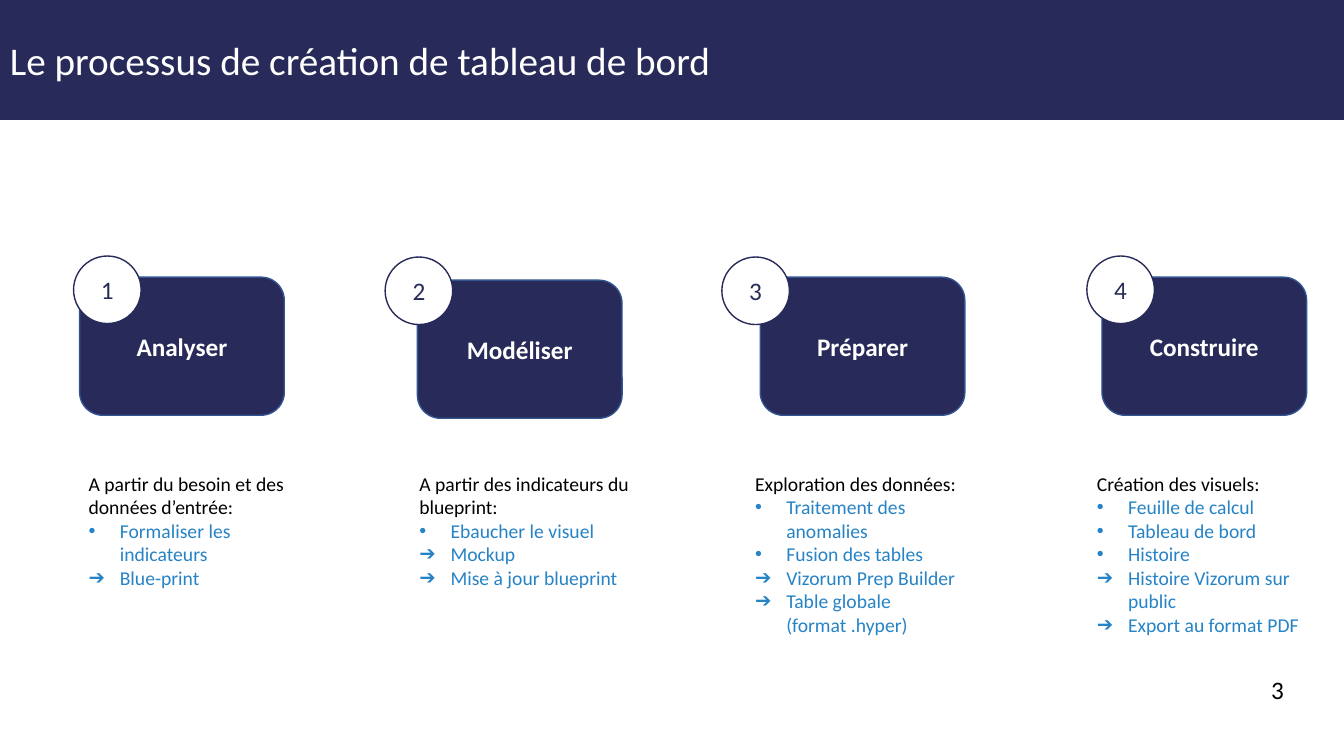
from dataclasses import dataclass

from lxml.etree import SubElement
from pptx import Presentation
from pptx.dml.color import RGBColor
from pptx.enum.shapes import MSO_SHAPE
from pptx.enum.text import MSO_ANCHOR, PP_ALIGN
from pptx.oxml.ns import qn
from pptx.util import Inches, Pt


@dataclass(frozen=True)
class Theme:
    font: str = "Calibri"
    navy: str = "282B59"
    edge: str = "325491"
    blue: str = "2683C6"
    white: str = "FFFFFF"
    black: str = "000000"
    title: int = 28
    label: int = 18
    body: int = 14


THEME = Theme()
DOT, ARROW = "•", "➔"

# Name, card left, card top, badge left, badge top, text left, intro, items
STEPS = [
    ("Analyser", 0.79, 2.75, 0.73, 2.54, 0.78,
     "A partir du besoin et des données d’entrée:",
     [(DOT, "Formaliser les indicateurs"), (ARROW, "Blue-print")]),
    ("Modéliser", 4.14, 2.78, 3.82, 2.55, 4.06,
     "A partir des indicateurs du blueprint:",
     [(DOT, "Ebaucher le visuel"), (ARROW, "Mockup"),
      (ARROW, "Mise à jour blueprint")]),
    ("Préparer", 7.54, 2.75, 7.16, 2.55, 7.39,
     "Exploration des données:",
     [(DOT, "Traitement des anomalies"), (DOT, "Fusion des tables"),
      (ARROW, "Vizorum Prep Builder"),
      (ARROW, "Table globale (format .hyper)")]),
    ("Construire", 10.93, 2.75, 10.78, 2.54, 10.78,
     "Création des visuels:",
     [(DOT, "Feuille de calcul"), (DOT, "Tableau de bord"),
      (DOT, "Histoire"), (ARROW, "Histoire Vizorum sur public"),
      (ARROW, "Export au format PDF")]),
]


def write(para, text, size=THEME.body, color=THEME.black, bold=False,
          align=PP_ALIGN.LEFT, mark=None):
    """Fill one paragraph, with a hanging bullet if a mark is given."""
    para.alignment = align
    if mark:
        props = para._p.get_or_add_pPr()
        props.set("marL", str(Inches(0.31)))
        props.set("indent", str(Inches(-0.31)))
        SubElement(props, qn("a:buFont"), typeface="Arial")
        SubElement(props, qn("a:buChar"), char=mark)
    run = para.add_run()
    run.text = text
    run.font.name = THEME.font
    run.font.size = Pt(size)
    run.font.bold = bold
    run.font.color.rgb = RGBColor.from_string(color)


def add_block(slide, kind, box, fill, line=None):
    """Add a flat shape and return its first paragraph."""
    shape = slide.shapes.add_shape(kind, *map(Inches, box))
    shape.shadow.inherit = False
    shape.fill.solid()
    shape.fill.fore_color.rgb = RGBColor.from_string(fill)
    if line:
        shape.line.color.rgb = RGBColor.from_string(line)
        shape.line.width = Pt(1)
    else:
        shape.line.fill.background()
    frame = shape.text_frame
    frame.word_wrap = True
    frame.vertical_anchor = MSO_ANCHOR.MIDDLE
    return frame.paragraphs[0]


def add_text(slide, box):
    """Add a wrapping text box and return its frame."""
    frame = slide.shapes.add_textbox(*map(Inches, box)).text_frame
    frame.word_wrap = True
    return frame


def add_card(slide, name, left, top):
    para = add_block(slide, MSO_SHAPE.ROUNDED_RECTANGLE,
                     (left, top, 2.03, 1.37), THEME.navy, THEME.edge)
    write(para, name, size=THEME.label, color=THEME.white, bold=True,
          align=PP_ALIGN.CENTER)


def add_badge(slide, num, left, top):
    para = add_block(slide, MSO_SHAPE.OVAL, (left, top, 0.67, 0.67),
                     THEME.white, THEME.navy)
    write(para, str(num), size=THEME.label, color=THEME.navy,
          align=PP_ALIGN.CENTER)


def add_list(slide, left, intro, items):
    height = 1.75 if len(items) > 3 else 1.28
    frame = add_text(slide, (left, 4.63, 2.32, height))
    write(frame.paragraphs[0], intro)
    for mark, text in items:
        write(frame.add_paragraph(), text, color=THEME.blue, mark=mark)


def main():
    deck = Presentation()
    deck.slide_width, deck.slide_height = Inches(13.33), Inches(7.5)
    slide = deck.slides.add_slide(deck.slide_layouts[6])

    # Title band
    band = add_block(slide, MSO_SHAPE.RECTANGLE, (0, 0, 13.33, 1.19),
                     THEME.navy)
    write(band, "Le processus de création de tableau de bord",
          size=THEME.title, color=THEME.white)

    # Four steps
    for num, step in enumerate(STEPS, 1):
        name, left, top, disc_x, disc_y, text_x, intro, items = step
        add_card(slide, name, left, top)
        add_badge(slide, num, disc_x, disc_y)
        add_list(slide, text_x, intro, items)

    # Page number
    page = add_text(slide, (12.51, 6.64, 0.64, 0.71))
    write(page.paragraphs[0], "3", size=THEME.label)

    deck.save("out.pptx")


if __name__ == "__main__":
    main()
